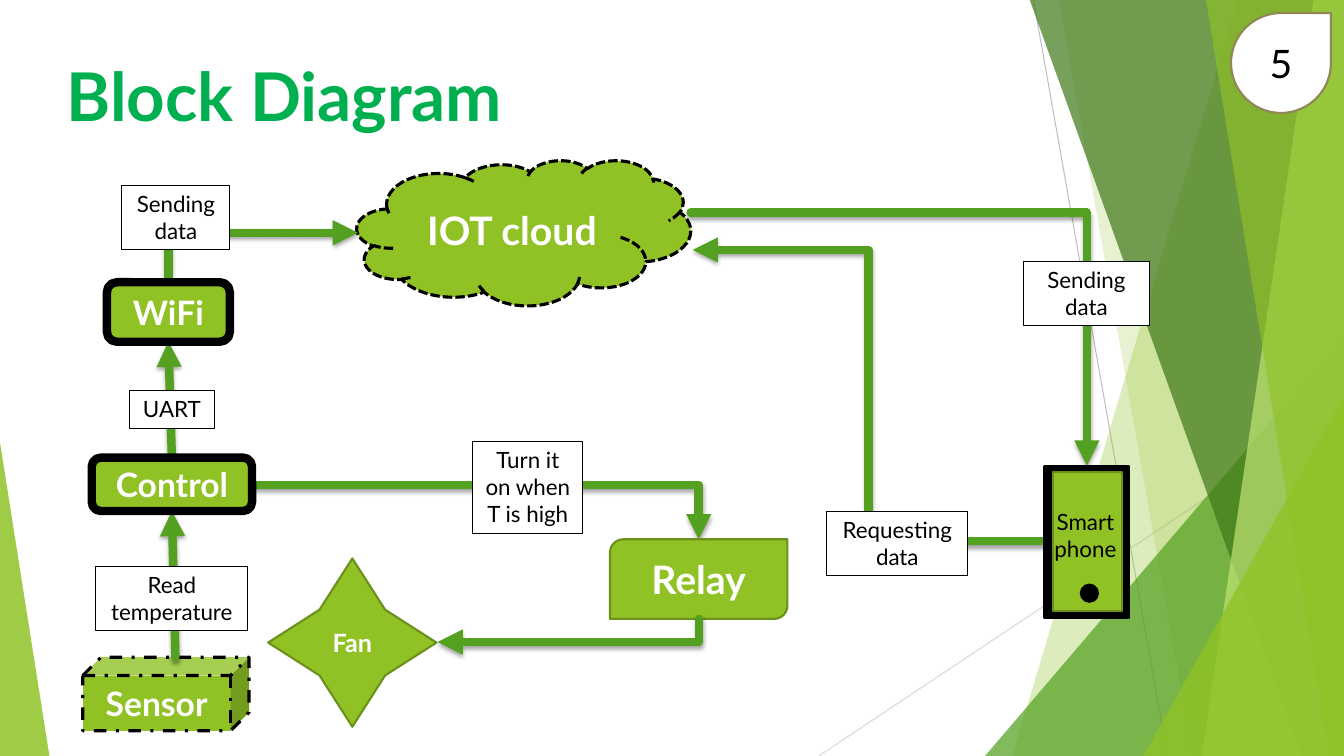
from lxml.etree import SubElement
from pptx import Presentation
from pptx.dml.color import RGBColor
from pptx.enum.dml import MSO_LINE as Dash
from pptx.enum.shapes import MSO_CONNECTOR as Link, MSO_SHAPE as Form
from pptx.enum.text import MSO_ANCHOR as Anchor, MSO_AUTO_SIZE as Fit, PP_ALIGN as Align
from pptx.oxml.ns import qn
from pptx.util import Pt

SCALE = 9144
WIDTH, HEIGHT = 1333, 750
GREEN, LEAF, EDGE = "54A021", "90C226", "6B901C"
BLACK, WHITE = "000000", "FFFFFF"


def px(*lengths):
    return [round(length * SCALE) for length in lengths]


def colour(code):
    return RGBColor.from_string(code)


def style(target, values):
    for name, value in values.items():
        setattr(target, name, value)


class Diagram:
    font = "Lato"

    def __init__(self, page):
        self.page = page
        self.shapes = page.shapes

    def group(self):
        self.shapes = self.page.shapes.add_group_shape().shapes

    def ungroup(self):
        self.shapes = self.page.shapes

    def letter(self, shape, text, size, code, bold=False, align=Align.CENTER,
               anchor=Anchor.MIDDLE, fit=Fit.NONE):
        frame = shape.text_frame
        style(frame, {"word_wrap": True, "auto_size": fit, "vertical_anchor": anchor})
        para = frame.paragraphs[0]
        para.alignment = align
        span = para.add_run()
        span.text = text
        style(span.font, {"name": self.font, "size": Pt(size), "bold": bold})
        span.font.color.rgb = colour(code)

    def title(self, text, at):
        box = self.page.shapes.title
        style(box, dict(zip(("left", "top", "width", "height"), px(*at))))
        self.letter(box, text, 48, "00B050", True, Align.LEFT, Anchor.TOP)

    def paint(self, shape, fill, opacity=100):
        shape.shadow.inherit = False
        shape.fill.solid()
        shape.fill.fore_color.rgb = colour(fill)
        shape.line.fill.background()
        if opacity < 100:
            tint = shape._element.spPr.find(".//" + qn("a:srgbClr"))
            SubElement(tint, qn("a:alpha")).set("val", str(opacity * 1000))

    def strip(self, edge, fill, opacity):
        top, bottom = edge
        outline = self.shapes.build_freeform(top, -1, scale=SCALE)
        outline.add_line_segments([(WIDTH, -1), (WIDTH, HEIGHT), (bottom, HEIGHT)])
        self.paint(outline.convert_to_shape(), fill, opacity)

    def wedge(self, place, fill, opacity):
        left, top, width, apex = place
        shape = self.shapes.add_shape(
            Form.ISOSCELES_TRIANGLE, *px(left, top, width, HEIGHT - top))
        shape.adjustments[0] = apex
        self.paint(shape, fill, opacity)

    def box(self, form, at, fill=LEAF, edge=EDGE, weight=1.5, dash=None):
        shape = self.shapes.add_shape(form, *px(*at))
        self.paint(shape, fill)
        shape.line.color.rgb = colour(edge)
        style(shape.line, {"width": Pt(weight), "dash_style": dash})
        return shape

    def node(self, text, size, form, at, code=WHITE, bold=True, **look):
        shape = self.box(form, at, **look)
        self.letter(shape, text, size, code, bold)
        return shape

    def label(self, text, at):
        shape = self.box(Form.RECTANGLE, at, WHITE, BLACK, 0.75)
        self.letter(shape, text, 16, BLACK, anchor=Anchor.TOP, fit=Fit.SHAPE_TO_FIT_TEXT)

    def caption(self, text, at):
        shape = self.shapes.add_textbox(*px(*at))
        self.letter(shape, text, 16, BLACK, anchor=Anchor.TOP, fit=Fit.SHAPE_TO_FIT_TEXT)

    def line(self, start, end, code, weight, kind=Link.STRAIGHT):
        line = self.shapes.add_connector(kind, *px(*start, *end))
        line.line.color.rgb = colour(code)
        line.line.width = Pt(weight)
        effects = SubElement(line._element.spPr, qn("a:effectLst"))
        return line, effects

    def arrow(self, start, end, kind=Link.STRAIGHT):
        line, effects = self.line(start, end, GREEN, 6, kind)
        stroke = line._element.spPr.find(qn("a:ln"))
        stroke.set("cap", "rnd")
        SubElement(stroke, qn("a:tailEnd")).set("type", "triangle")
        shadow = SubElement(effects, qn("a:outerShdw"))
        for name, value in {"blurRad": Pt(3), "dist": Pt(2), "dir": 5400000,
                            "rotWithShape": 0}.items():
            shadow.set(name, str(int(value)))
        tint = SubElement(shadow, qn("a:srgbClr"))
        tint.set("val", BLACK)
        SubElement(tint, qn("a:alpha")).set("val", "35000")
        return line

    def corner(self, start, end, upright=False):
        (x1, y1), (x2, y2) = start, end
        if upright:
            middle_x, middle_y = (x1 + x2) / 2, (y1 + y2) / 2
            half_x, half_y = (y2 - y1) / 2, (x1 - x2) / 2
            start = middle_x - half_x, middle_y - half_y
            end = middle_x + half_x, middle_y + half_y
        line = self.arrow(start, end, Link.ELBOW)
        properties = line._element.spPr
        properties.find(qn("a:prstGeom")).set("prst", "bentConnector2")
        if upright:
            properties.find(qn("a:xfrm")).set("rot", "5400000")


def draw_backdrop(diagram):
    diagram.group()
    diagram.line((1025, 0), (1158, HEIGHT), "BFBFBF", 0.75)
    diagram.line((WIDTH, 403), (812, HEIGHT), "D9D9D9", 0.75)
    for draw, place, fill, opacity in (
        (diagram.strip, (1228, 1004), LEAF, 30),
        (diagram.strip, (1050, 1183), LEAF, 20),
        (diagram.wedge, (977, 333, 356, 1), GREEN, 72),
        (diagram.strip, (1021, 1291), "3F7819", 70),
        (diagram.strip, (1303, 1192), "C0E474", 70),
        (diagram.strip, (1196, 1318), LEAF, 65),
        (diagram.wedge, (1134, 393, 199, 1), LEAF, 80),
        (diagram.wedge, (0, 439, 49, 0), LEAF, 85),
    ):
        draw(place, fill, opacity)
    diagram.ungroup()


def draw_phone(diagram):
    diagram.group()
    diagram.box(Form.RECTANGLE, (1036, 462, 84, 151), BLACK, BLACK)
    diagram.box(Form.RECTANGLE, (1044, 468, 69, 138))
    diagram.box(Form.OVAL, (1072, 580, 17, 17), BLACK, BLACK)
    diagram.ungroup()


def main():
    deck = Presentation()
    deck.slide_width, deck.slide_height = px(WIDTH, HEIGHT)
    diagram = Diagram(deck.slides.add_slide(deck.slide_layouts[5]))
    draw_backdrop(diagram)
    diagram.title("Block Diagram", (56, 49, 925, 91))

    uart = diagram.arrow((171, 454), (167, 339))
    diagram.node("IOT cloud", 28, Form.CLOUD, (354, 159, 331, 144),
                 edge=BLACK, weight=2.25, dash=Dash.SQUARE_DOT)
    diagram.node("Sensor", 24, Form.CUBE, (82, 652, 165, 73),
                 edge=BLACK, weight=2.25, dash=Dash.DASH_DOT)
    reading = diagram.arrow((174, 652), (171, 507))
    diagram.corner((250, 481), (693, 535))
    diagram.arrow((1036, 537), (687, 248), Link.ELBOW)
    diagram.corner((685, 211), (1078, 462))
    draw_phone(diagram)

    for text, at in (
        ("Read temperature", (95, 562, 151, 64)),
        ("Turn it on when T is high", (469, 438, 109, 91)),
        ("Sending data", (1015, 259, 125, 64)),
        ("Requesting data", (820, 507, 140, 64)),
    ):
        diagram.label(text, at)
    diagram.caption("Smart phone", (1024, 499, 105, 64))

    diagram.node("5", 28, Form.TEAR, (1221, 13, 99, 99), BLACK, False,
                 fill=WHITE, edge="918655")
    diagram.node("Relay", 28, Form.ROUND_2_DIAG_RECTANGLE, (605, 535, 176, 79))
    fan = diagram.node("Fan", 18, Form.STAR_4_POINT, (266, 554, 167, 167))
    fan.adjustments[0] = 0.276
    diagram.corner((693, 614), (434, 637), upright=True)
    board = diagram.node("Control", 24, Form.ROUNDED_RECTANGLE, (91, 454, 159, 53),
                         edge=BLACK, weight=6)
    diagram.corner((167, 280), (355, 231), upright=True)
    diagram.label("Sending data", (121, 184, 107, 64))
    radio = diagram.node("WiFi", 24, Form.ROUNDED_RECTANGLE, (106, 280, 122, 59),
                         edge=BLACK, weight=6)
    diagram.label("UART", (128, 387, 85, 38))

    uart.begin_connect(board, 0)
    uart.end_connect(radio, 2)
    reading.end_connect(board, 2)
    deck.save("out.pptx")


if __name__ == "__main__":
    main()
